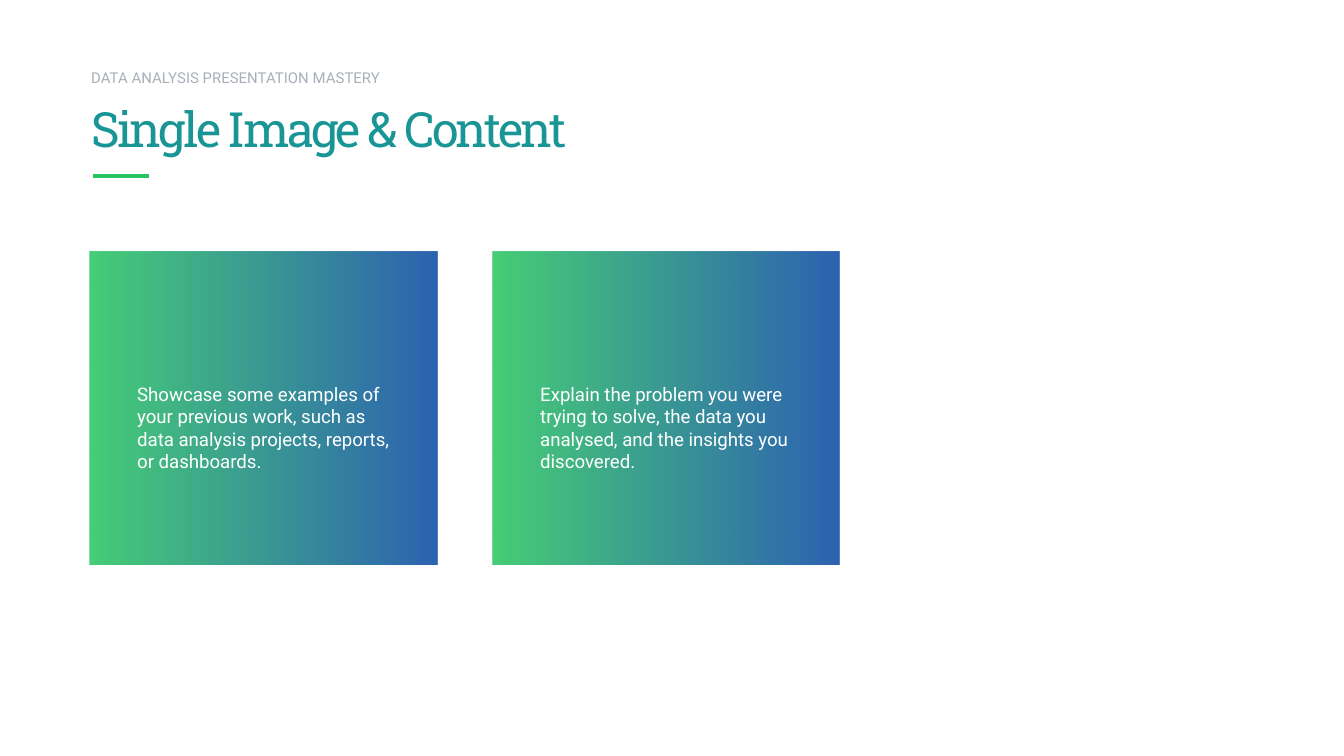
from lxml.etree import SubElement
from pptx import Presentation
from pptx.dml.color import RGBColor
from pptx.enum.shapes import MSO_CONNECTOR as Connector, MSO_SHAPE as Shape
from pptx.enum.text import MSO_ANCHOR as Anchor, MSO_AUTO_SIZE as AutoSize, PP_ALIGN as Align
from pptx.oxml.ns import qn
from pptx.util import Emu, Pt

GREEN = RGBColor(0x27, 0xC4, 0x5F)
TEAL = RGBColor(0x19, 0x95, 0x96)
BLUE = RGBColor(0x09, 0x47, 0xA4)
GREY = RGBColor(0xA8, 0xAF, 0xB9)
WHITE = RGBColor(0xFF, 0xFF, 0xFF)

BODY_FONT = "Roboto"
TITLE_FONT = "Roboto Slab"
EMU_PER_PX = 914400 / 134.4
TITLE_ONLY = 5

CARD_LEFT, CARD_TOP, CARD_STEP = 90, 252, 403
CARD_WIDTH, CARD_HEIGHT = 347, 313
CARD_PADDING = 34
CARD_TEXT_TOP, CARD_TEXT_HEIGHT = 376, 103
CARD_TEXTS = [
    "Showcase some examples of your previous work, such as data analysis "
    "projects, reports, or dashboards.",
    "Explain the problem you were trying to solve, the data you analysed, "
    "and the insights you discovered.",
]


def px(length):
    return Emu(round(length * EMU_PER_PX))


class SlideBuilder:
    def __init__(self, slide):
        self.slide = slide

    def _write(self, frame, text, size, color, font_name):
        frame.text = text
        frame.word_wrap = True
        frame.auto_size = AutoSize.NONE
        paragraph = frame.paragraphs[0]
        paragraph.alignment = Align.LEFT
        font = paragraph.runs[0].font
        font.name, font.size, font.color.rgb = font_name, Pt(size), color
        return font

    def title(self, text, left, top, width, height):
        title = self.slide.shapes.title
        title.left, title.top = px(left), px(top)
        title.width, title.height = px(width), px(height)
        title.text_frame.vertical_anchor = Anchor.MIDDLE
        font = self._write(title.text_frame, text, 26, TEAL, TITLE_FONT)
        font._element.set("spc", "-150")

    def text(self, text, left, top, width, height, size, color):
        box = self.slide.shapes.add_textbox(px(left), px(top), px(width), px(height))
        self._write(box.text_frame, text, size, color, BODY_FONT)

    def rule(self, left, right, y):
        line = self.slide.shapes.add_connector(
            Connector.STRAIGHT, px(left), px(y), px(right), px(y))
        line.line.color.rgb = GREEN
        line.line.width = Pt(2)
        SubElement(line._element.spPr, qn("a:effectLst"))

    def gradient_panel(self, left, top, width, height):
        """Add a borderless rectangle, green to blue, at 85% opacity."""
        panel = self.slide.shapes.add_shape(
            Shape.RECTANGLE, px(left), px(top), px(width), px(height))
        panel.shadow.inherit = False
        panel.line.fill.background()
        panel.fill.gradient()
        panel.fill.gradient_angle = 0
        for stop, position, color in zip(
                panel.fill.gradient_stops, (0.01, 1), (GREEN, BLUE)):
            stop.position = position
            stop.color.rgb = color
        for color_element in panel._element.spPr.iter(qn("a:srgbClr")):
            SubElement(color_element, qn("a:alpha"), val="85000")


def main():
    deck = Presentation()
    deck.slide_width, deck.slide_height = px(1344), px(756)
    builder = SlideBuilder(deck.slides.add_slide(deck.slide_layouts[TITLE_ONLY]))

    builder.rule(93, 149, 176)
    builder.text("DATA ANALYSIS PRESENTATION MASTERY", 78, 62, 739, 47, 8, GREY)
    builder.title("Single Image & Content", 78, 65, 1120, 126)

    for index, card_text in enumerate(CARD_TEXTS):
        left = CARD_LEFT + index * CARD_STEP
        builder.gradient_panel(left, CARD_TOP, CARD_WIDTH, CARD_HEIGHT)
        builder.text(card_text, left + CARD_PADDING, CARD_TEXT_TOP,
                     CARD_WIDTH - 2 * CARD_PADDING, CARD_TEXT_HEIGHT, 10, WHITE)

    deck.save("out.pptx")


if __name__ == "__main__":
    main()
